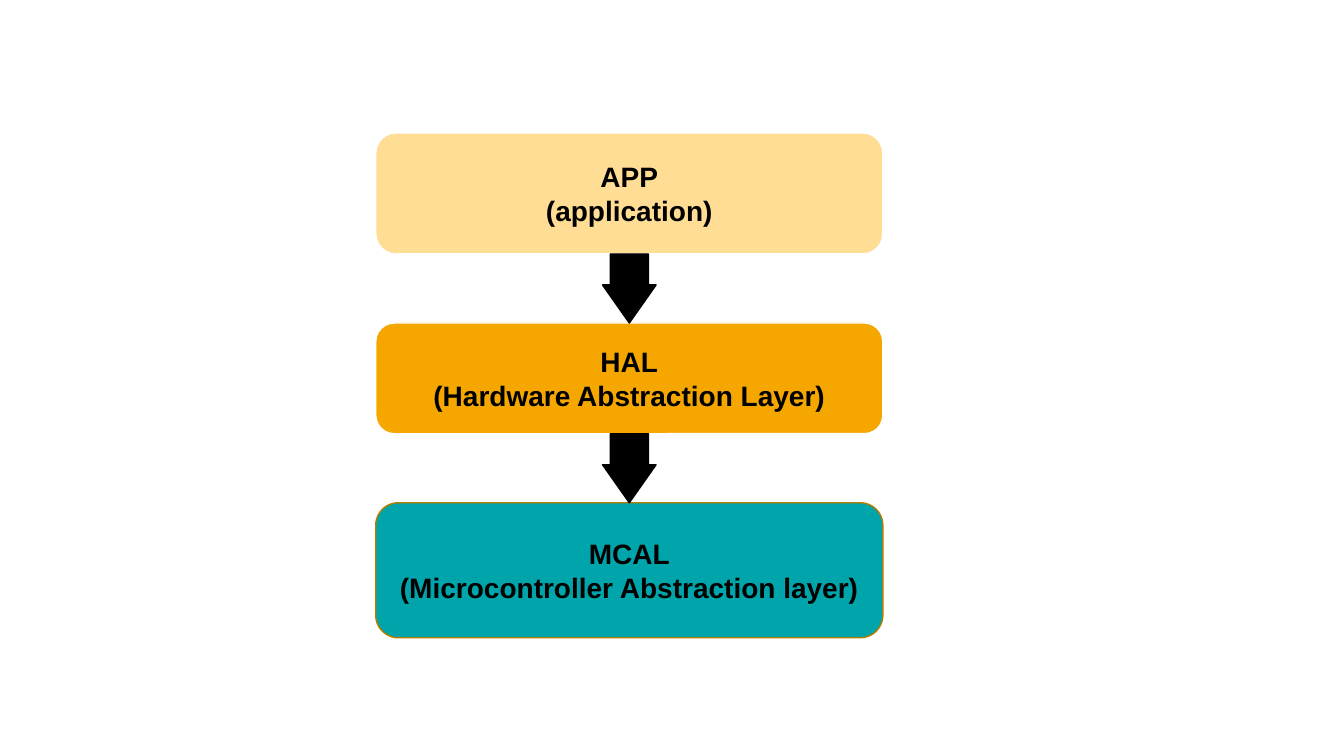
"""Build a slide of three software layers joined by downward arrows."""
from dataclasses import dataclass

from pptx import Presentation
from pptx.dml.color import RGBColor
from pptx.enum.shapes import MSO_SHAPE
from pptx.enum.text import MSO_ANCHOR, PP_ALIGN
from pptx.shapes.autoshape import Shape
from pptx.slide import Slide
from pptx.util import Cm, Pt

ROUNDED = MSO_SHAPE.ROUNDED_RECTANGLE
DOWN_ARROW = MSO_SHAPE.DOWN_ARROW
MIDDLE = MSO_ANCHOR.MIDDLE
CENTER = PP_ALIGN.CENTER

LAYER_LEFT, LAYER_WIDTH = 9.47, 12.78
STACK_TOP, GAP = 3.35, 1.74
ARROW_WIDTH = 1.35
ARROW_PROPORTION = 0.71


@dataclass(frozen=True)
class Theme:
    """Colours and type of the slide."""

    font: str = "Arial"
    label_size: int = 20
    outline_width: int = 1
    ink: str = "000000"
    white: str = "FFFFFF"
    cream: str = "FFDD95"
    amber: str = "F5A700"
    teal: str = "00A5AB"
    bronze: str = "B57C00"


@dataclass(frozen=True)
class Layer:
    """One software layer, its height given in centimetres."""

    acronym: str
    meaning: str
    height: float
    fill: str
    outline: str


THEME = Theme()
LAYERS = (
    Layer("APP", "(application)", 3.05, THEME.cream, THEME.white),
    Layer("HAL", "(Hardware Abstraction Layer)", 2.79, THEME.amber, THEME.white),
    Layer("MCAL", "(Microcontroller Abstraction layer)", 3.4, THEME.teal, THEME.bronze),
)


def paint(shape: Shape, fill: str, outline: str) -> None:
    """Give a shape a flat fill and a thin outline."""
    shape.shadow.inherit = False
    shape.fill.solid()
    shape.fill.fore_color.rgb = RGBColor.from_string(fill)
    shape.line.color.rgb = RGBColor.from_string(outline)
    shape.line.width = Pt(THEME.outline_width)


def draw_layer(slide: Slide, layer: Layer, top: float) -> None:
    """Draw a layer with its acronym above its meaning."""
    block = slide.shapes.add_shape(
        ROUNDED, Cm(LAYER_LEFT), Cm(top), Cm(LAYER_WIDTH), Cm(layer.height)
    )
    paint(block, layer.fill, layer.outline)
    label = block.text_frame
    label.word_wrap = True
    label.vertical_anchor = MIDDLE
    label.text = f"{layer.acronym}\n{layer.meaning}"
    for paragraph in label.paragraphs:
        paragraph.alignment = CENTER
        paragraph.font.name = THEME.font
        paragraph.font.size = Pt(THEME.label_size)
        paragraph.font.bold = True
        paragraph.font.color.rgb = RGBColor.from_string(THEME.ink)


def draw_arrow(slide: Slide, top: float) -> None:
    """Draw an arrow that fills the gap below a layer."""
    left = LAYER_LEFT + (LAYER_WIDTH - ARROW_WIDTH) / 2
    arrow = slide.shapes.add_shape(
        DOWN_ARROW, Cm(left), Cm(top), Cm(ARROW_WIDTH), Cm(GAP)
    )
    arrow.adjustments[0] = ARROW_PROPORTION
    arrow.adjustments[1] = ARROW_PROPORTION
    paint(arrow, THEME.ink, THEME.ink)


def main() -> None:
    """Stack the layers, link them and save the slide."""
    presentation = Presentation()
    presentation.slide_width = Cm(33.87)
    presentation.slide_height = Cm(19.05)
    slide = presentation.slides.add_slide(presentation.slide_layouts[6])

    top = STACK_TOP
    arrow_tops: list[float] = []
    for layer in LAYERS:
        draw_layer(slide, layer, top)
        arrow_tops.append(top + layer.height)
        top += layer.height + GAP
    for arrow_top in arrow_tops[:-1]:
        draw_arrow(slide, arrow_top)
    presentation.save("out.pptx")


if __name__ == "__main__":
    main()
